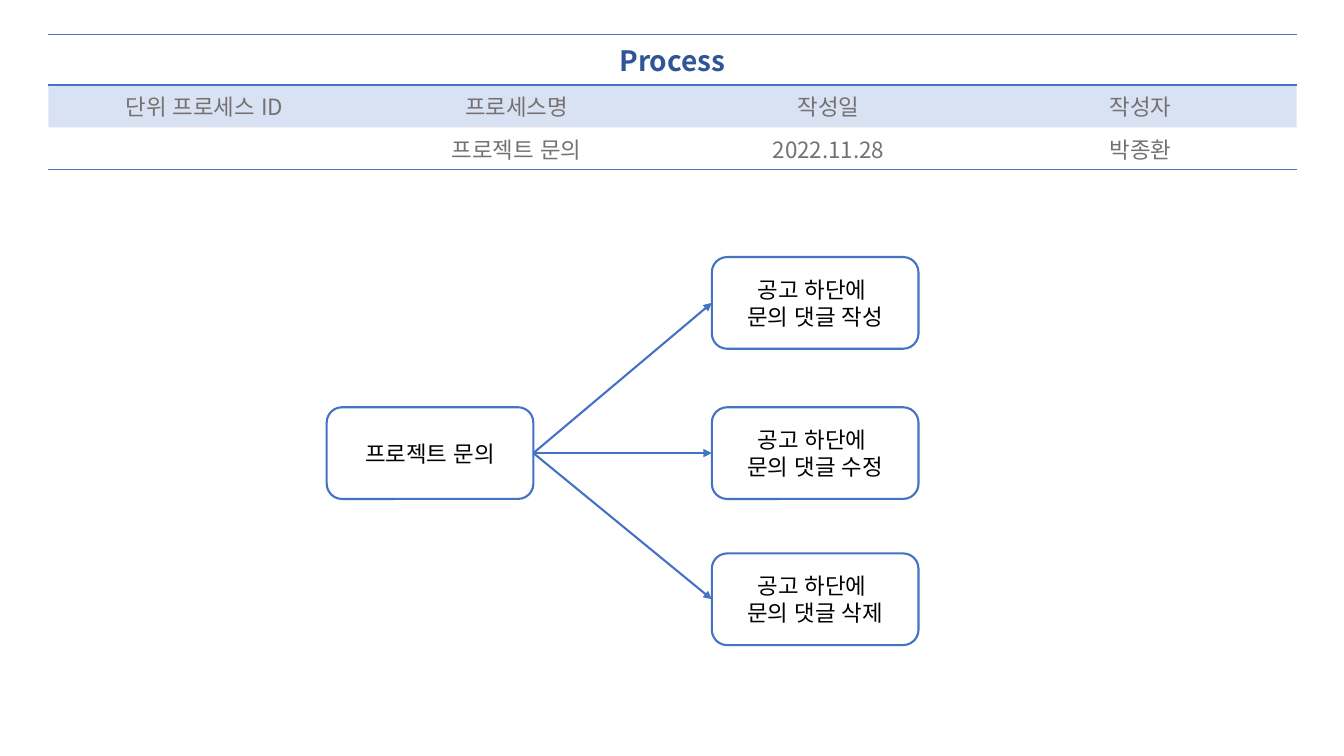
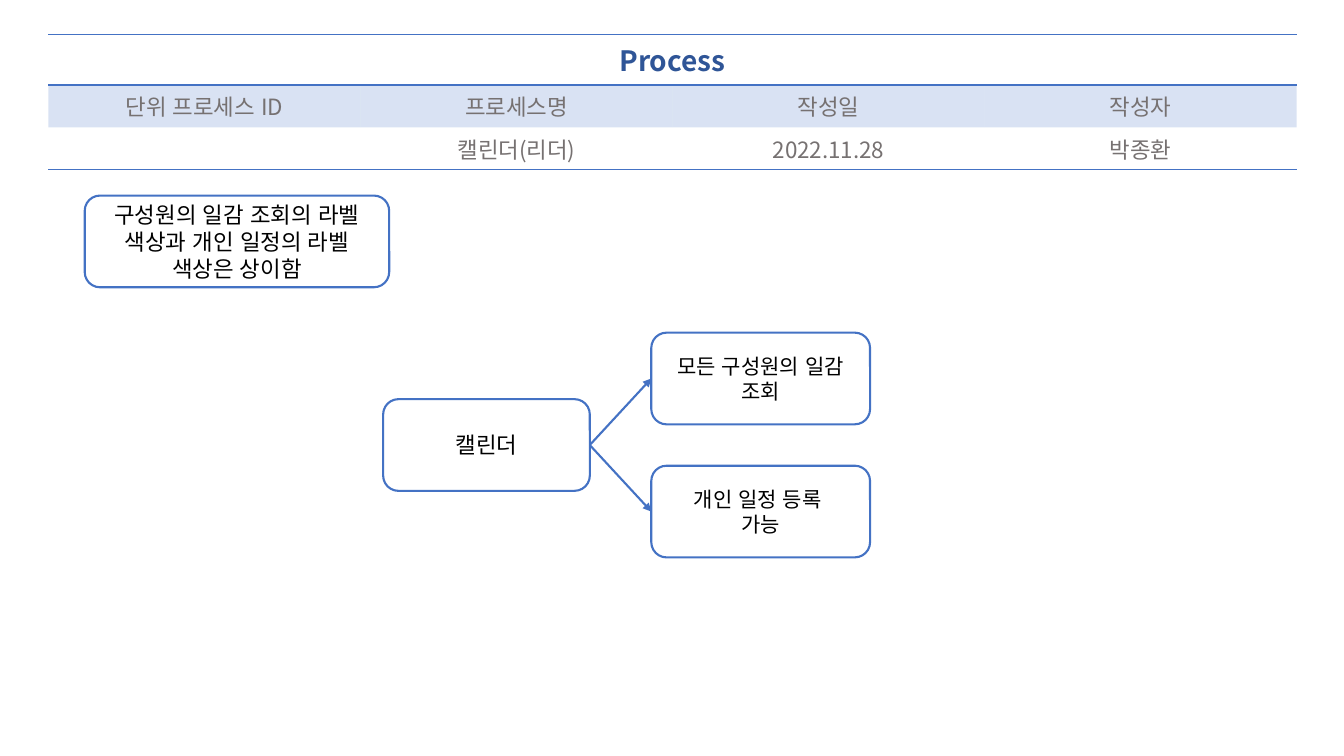
from lxml import etree
from pptx import Presentation
from pptx.dml.color import RGBColor
from pptx.enum.lang import MSO_LANGUAGE_ID
from pptx.enum.shapes import MSO_CONNECTOR, MSO_SHAPE
from pptx.enum.text import MSO_ANCHOR, PP_ALIGN
from pptx.oxml.ns import qn
from pptx.util import Inches, Pt

ROUNDED = MSO_SHAPE.ROUNDED_RECTANGLE
STRAIGHT = MSO_CONNECTOR.STRAIGHT
CENTER = PP_ALIGN.CENTER
MIDDLE = MSO_ANCHOR.MIDDLE
KOREAN = MSO_LANGUAGE_ID.KOREAN

BLUE = RGBColor(0x44, 0x72, 0xC4)
NAVY = RGBColor(0x2F, 0x55, 0x97)
GRAY = RGBColor(0x76, 0x71, 0x71)
BLACK = RGBColor(0, 0, 0)
WHITE = RGBColor(255, 255, 255)

FONT = "Noto Sans CJK KR"
PLAIN_TABLE = "{2D5ABB26-0587-4C30-8999-92F81FD0307C}"
BOX_W, BOX_H = 2.05, 0.91
HEADINGS = ["단위 프로세스 ID", "프로세스명", "작성일", "작성자"]
DATE, AUTHOR = "2022.11.28", "박종환"


class ProcessDeck:
    """Builds process slides with a shared header table, boxes and arrows."""

    def __init__(self):
        self.prs = Presentation()
        self.prs.slide_width = Inches(13.33)
        self.prs.slide_height = Inches(7.5)
        self.s = None

    def new_slide(self, process):
        self.s = self.prs.slides.add_slide(self.prs.slide_layouts[6])
        self.header(process)

    def text(self, tf, content, size, color, bold=False):
        tf.text = content
        style = {"name": FONT, "size": Pt(size), "bold": bold, "language_id": KOREAN}
        for p in tf.paragraphs:
            p.alignment = CENTER
            for r in p.runs:
                for key, value in style.items():
                    setattr(r.font, key, value)
                r.font.color.rgb = color
                etree.SubElement(r._r.get_or_add_rPr(), qn("a:ea"), typeface=FONT)

    def border(self, cell, *sides):
        tcPr = cell._tc.get_or_add_tcPr()
        for i, side in enumerate(sides):
            ln = etree.Element(qn("a:" + side), w=str(Pt(1)))
            fill = etree.SubElement(ln, qn("a:solidFill"))
            etree.SubElement(fill, qn("a:srgbClr"), val=str(BLUE))
            tcPr.insert(i, ln)

    def tint(self, cell):
        cell.fill.solid()
        cell.fill.fore_color.rgb = BLUE
        clr = cell._tc.tcPr.find(".//" + qn("a:srgbClr"))
        etree.SubElement(clr, qn("a:alpha"), val="20000")

    def header(self, process):
        rows = [["Process", "", "", ""], HEADINGS, ["", process, DATE, AUTHOR]]
        frame = self.s.shapes.add_table(3, 4, Inches(0.48), Inches(0.34),
                                        Inches(12.38), Inches(1.22))
        table = frame.table
        table.first_row = table.horz_banding = False
        table._tbl.tblPr.find(qn("a:tableStyleId")).text = PLAIN_TABLE
        for row, height in zip(table.rows, (0.46, 0.38, 0.38)):
            row.height = Inches(height)
        table.cell(0, 0).merge(table.cell(0, 3))
        for i, texts in enumerate(rows):
            size, color = (20, NAVY) if i == 0 else (16, GRAY)
            for j, content in enumerate(texts):
                cell = table.cell(i, j)
                self.text(cell.text_frame, content, size, color, bold=i == 0)
                if i == 1:
                    self.tint(cell)
                else:
                    cell.fill.background()
                    self.border(cell, *(("lnT", "lnB") if i == 0 else ("lnB",)))

    def box(self, content, x, y, w=BOX_W, size=16):
        sp = self.s.shapes.add_shape(ROUNDED, Inches(x), Inches(y), Inches(w), Inches(BOX_H))
        sp.shadow.inherit = False
        sp.fill.solid()
        sp.fill.fore_color.rgb = WHITE
        sp.line.color.rgb = BLUE
        sp.line.width = Pt(1.5)
        tf = sp.text_frame
        tf.word_wrap = True
        tf.vertical_anchor = MIDDLE
        self.text(tf, content, size, BLACK)
        return sp

    def arrow(self, start, end):
        cxn = self.s.shapes.add_connector(STRAIGHT, 0, 0, 0, 0)
        cxn.begin_connect(start, 3)
        cxn.end_connect(end, 1)
        cxn.line.color.rgb = BLUE
        cxn.line.width = Pt(1.5)
        spPr = cxn._element.spPr
        etree.SubElement(spPr.find(qn("a:ln")), qn("a:tailEnd"), type="triangle")
        etree.SubElement(spPr, qn("a:effectLst"))

    def branch(self, root, x, leaves, **style):
        for y, content in leaves:
            self.arrow(root, self.box(content, x, y, **style))


def main():
    deck = ProcessDeck()

    deck.new_slide("프로젝트 문의")
    inquiry = deck.box("프로젝트 문의", 3.24, 4.04)
    actions = [(2.55, "작성"), (4.04, "수정"), (5.49, "삭제")]
    deck.branch(inquiry, 7.06,
                [(y, f"공고 하단에 \n문의 댓글 {action}") for y, action in actions])

    deck.new_slide("캘린더(리더)")
    deck.box("구성원의 일감 조회의 라벨 색상과 개인 일정의 라벨 색상은 상이함", 0.84, 1.94, w=3.02)
    calendar = deck.box("캘린더", 3.8, 3.96)
    deck.branch(calendar, 6.46,
                [(3.3, "모든 구성원의 일감 조회"), (4.62, "개인 일정 등록 \n가능")],
                w=2.17, size=15)

    deck.prs.save("out.pptx")


if __name__ == "__main__":
    main()
